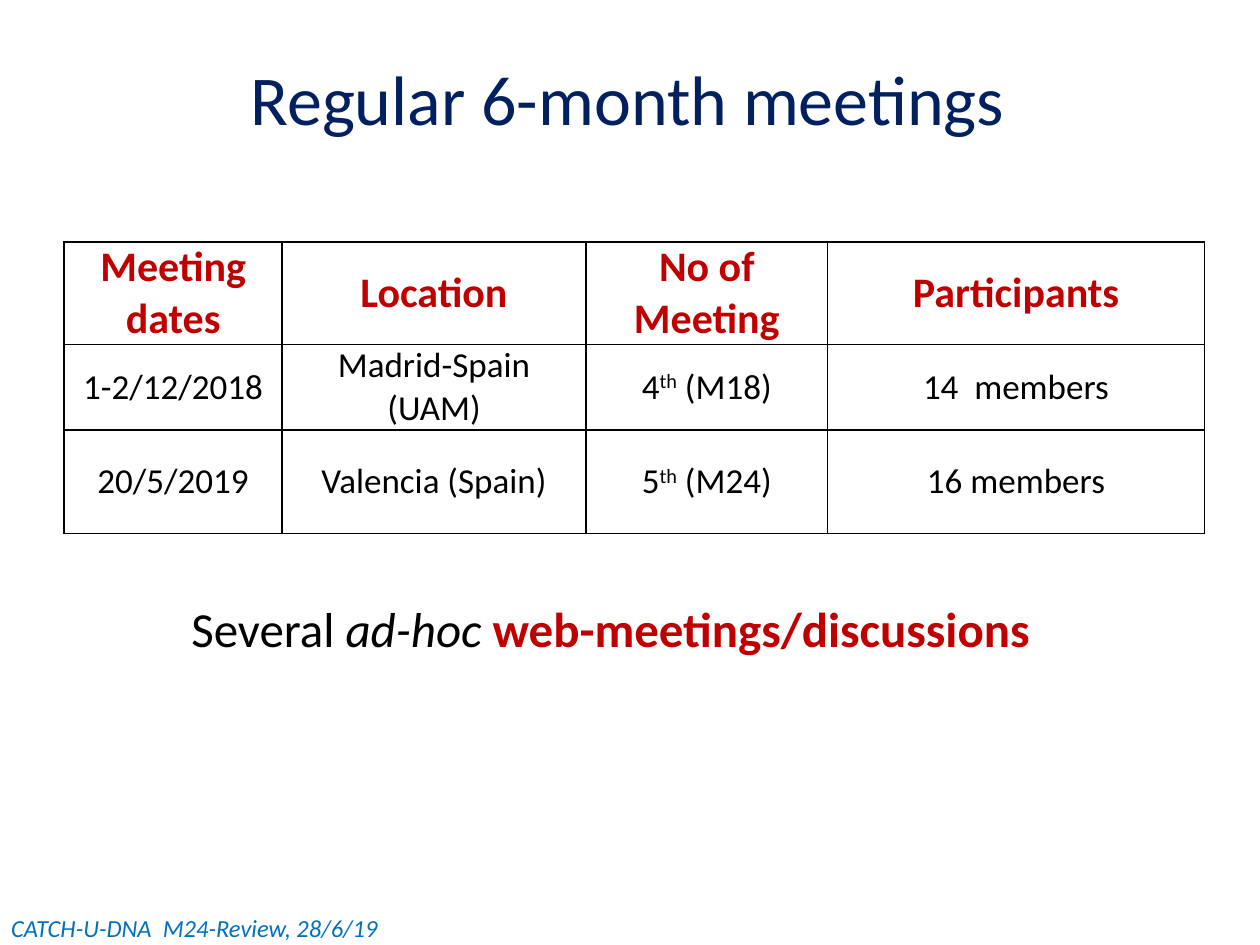
from lxml import etree
from pptx import Presentation
from pptx.dml.color import RGBColor
from pptx.enum.shapes import MSO_SHAPE
from pptx.enum.text import MSO_ANCHOR, PP_ALIGN
from pptx.oxml.ns import qn
from pptx.util import Inches, Pt

RECT = MSO_SHAPE.RECTANGLE
TOP, MIDDLE = MSO_ANCHOR.TOP, MSO_ANCHOR.MIDDLE
LEFT, CENTER = PP_ALIGN.LEFT, PP_ALIGN.CENTER
FONT = "Calibri"
BLACK, WHITE, RED, NAVY, BLUE = "000000", "FFFFFF", "C00000", "002060", "0070C0"

COLS = [1.73, 2.41, 1.92, 2.99]
ROWS = [0.8, 0.62, 0.82]
HEAD = ["Meeting dates", "Location", "No of Meeting", "Participants"]
BODY = [
    ["1-2/12/2018", "Madrid-Spain (UAM)", ("4", "th", " (M18)"), "14  members"],
    ["20/5/2019", "Valencia (Spain)", ("5", "th", " (M24)"), "16 members"],
]


def paint(target, color):
    target.rgb = RGBColor.from_string(color)


def write(para, text, size=20, color=BLACK, bold=False, italic=False,
          raised=False, align=None):
    """Append one formatted run to a paragraph."""
    if align is not None:
        para.alignment = align
    run = para.add_run()
    run.text = text
    font = run.font
    font.name, font.size, font.bold, font.italic = FONT, Pt(size), bold, italic
    paint(font.color, color)
    if raised:
        font._element.set("baseline", "30000")


def edge(cell, color=BLACK, width=1):
    """Draw all four borders of a cell, ahead of its fill."""
    props = cell._tc.get_or_add_tcPr()
    for spot, side in enumerate(("a:lnL", "a:lnR", "a:lnT", "a:lnB")):
        line = etree.Element(qn(side), w=str(Pt(width)))
        fill = etree.SubElement(line, qn("a:solidFill"))
        etree.SubElement(fill, qn("a:srgbClr"), val=color)
        props.insert(spot, line)


def add_title(slide, box):
    shape = slide.shapes.add_shape(RECT, *map(Inches, box))
    shape.shadow.inherit = False
    shape.fill.solid()
    paint(shape.fill.fore_color, WHITE)
    shape.line.fill.background()
    frame = shape.text_frame
    frame.vertical_anchor = TOP
    write(frame.paragraphs[0], "Regular 6-month meetings", size=40,
          color=NAVY, align=CENTER)


def fill_cell(cell, parts, **style):
    """Write a plain string, or a (number, suffix, rest) ordinal."""
    cell.fill.background()
    edge(cell)
    cell.vertical_anchor = MIDDLE
    cell.margin_left = cell.margin_right = Inches(0.07)
    cell.margin_top = cell.margin_bottom = 0
    para = cell.text_frame.paragraphs[0]
    for text in [parts] if isinstance(parts, str) else parts:
        write(para, text, raised=text == "th", align=CENTER, **style)


def add_meetings(slide, box):
    frame = slide.shapes.add_table(len(ROWS), len(COLS), *map(Inches, box))
    table = frame.table
    for col, width in zip(table.columns, COLS):
        col.width = Inches(width)
    for row, height in zip(table.rows, ROWS):
        row.height = Inches(height)
    for r, line in enumerate([HEAD] + BODY):
        style = {} if r else {"size": 24, "color": RED, "bold": True}
        for c, parts in enumerate(line):
            fill_cell(table.cell(r, c), parts, **style)


def add_label(slide, box, wrap=True):
    """Place a text box and return its first paragraph."""
    frame = slide.shapes.add_textbox(*map(Inches, box)).text_frame
    frame.word_wrap = wrap
    para = frame.paragraphs[0]
    para.alignment = LEFT
    return para


def add_remark(slide, box):
    para = add_label(slide, box, wrap=False)
    write(para, "Several ", size=28)
    write(para, "ad-hoc ", size=28, italic=True)
    write(para, "web-meetings/discussions", size=28, color=RED, bold=True)


def add_footer(slide, box):
    write(add_label(slide, box), "CATCH-U-DNA  M24-Review, 28/6/19",
          size=14, color=BLUE, italic=True)


def main():
    deck = Presentation()
    deck.slide_width, deck.slide_height = Inches(10), Inches(7.5)
    slide = deck.slides.add_slide(deck.slide_layouts[6])
    add_meetings(slide, (0.51, 1.92, sum(COLS), sum(ROWS)))
    add_title(slide, (0.73, 0.39, 8.5, 0.76))
    add_remark(slide, (1.42, 4.7, 6.93, 0.57))
    add_footer(slide, (-0.01, 7.2, 4.17, 0.34))
    deck.save("out.pptx")


if __name__ == "__main__":
    main()
